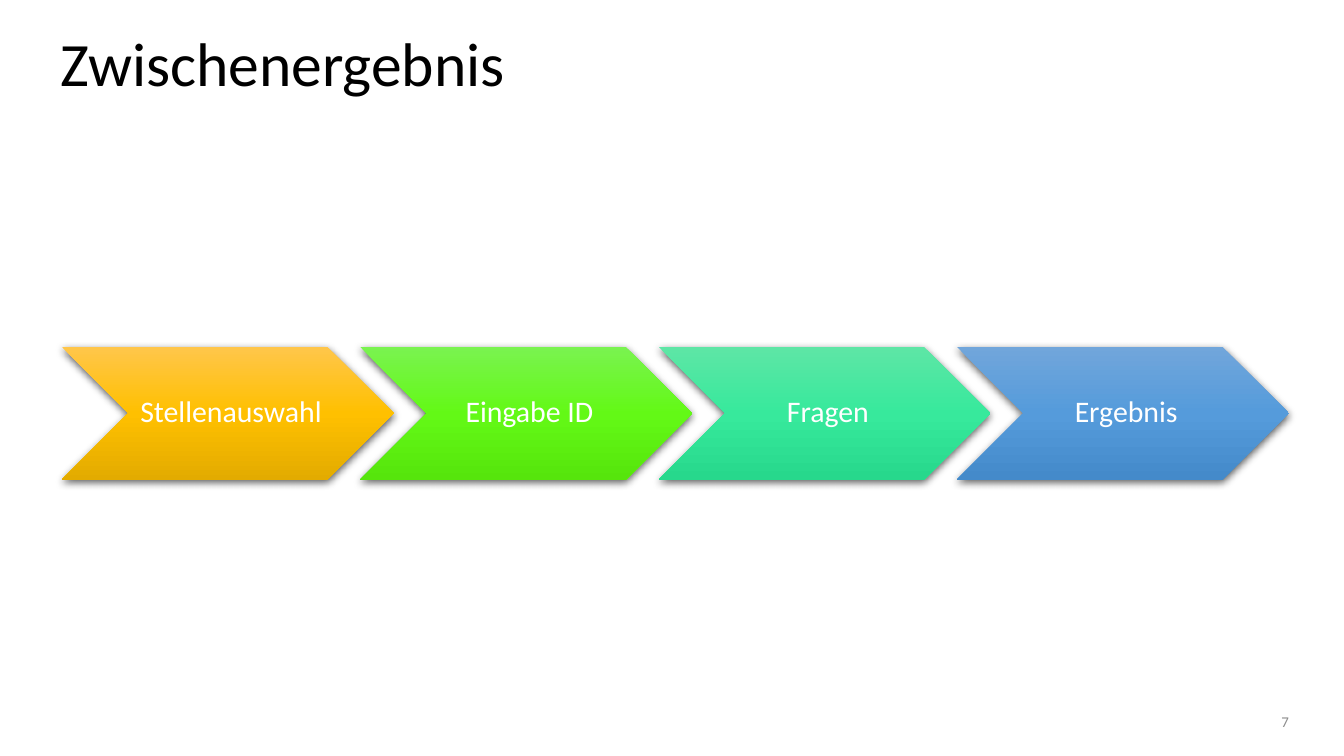
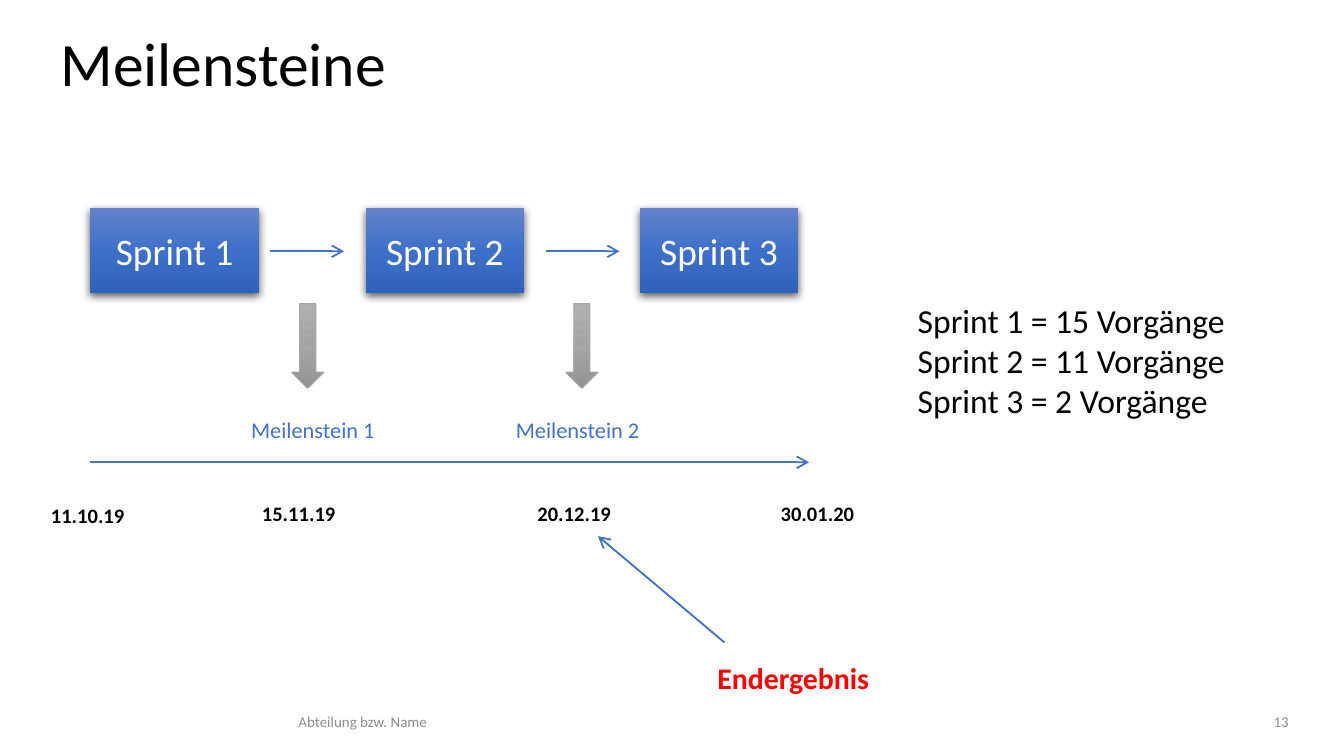
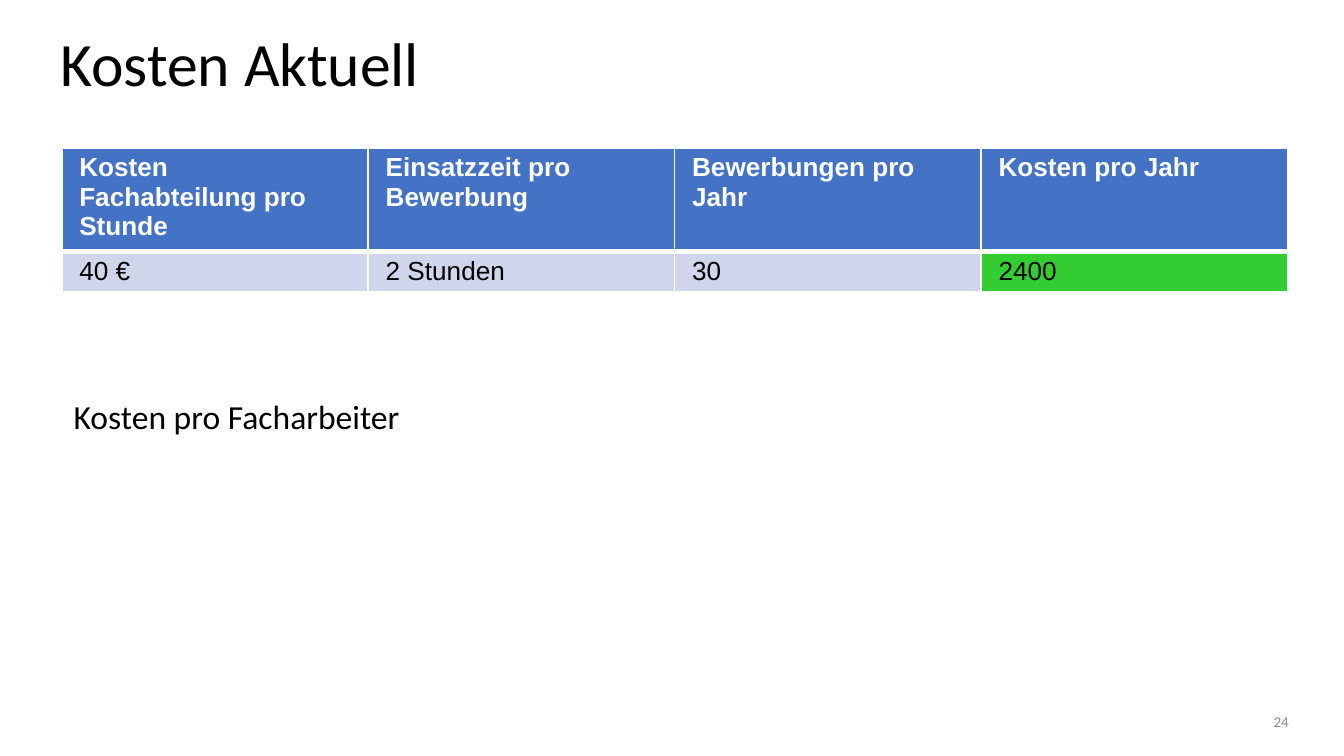
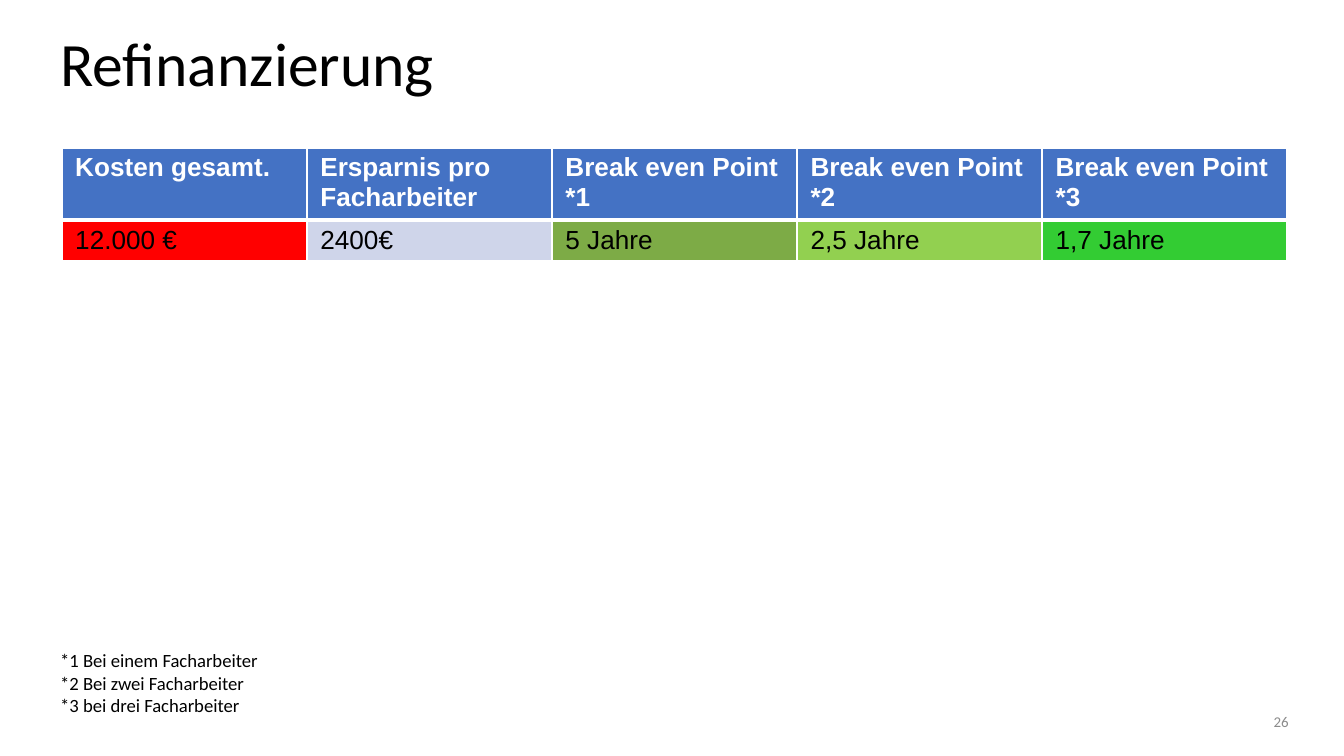
"""Build four project slides: process, milestones, current costs and refinancing."""
from lxml.etree import SubElement
from pptx import Presentation
from pptx.dml.color import RGBColor
from pptx.enum.shapes import MSO_CONNECTOR, MSO_SHAPE
from pptx.enum.text import MSO_ANCHOR, MSO_AUTO_SIZE, PP_ALIGN
from pptx.oxml.ns import qn
from pptx.util import Inches, Pt

BLACK, WHITE, GREY, RED = "000000", "FFFFFF", "8C8C8C", "FF0000"
BLUE, PALE, GREEN = "4472C4", "CFD5EA", "33CC33"
BLUE_FADE = ("6183CB", "3E70CA", "3062BB")
GREY_FADE = ("AFAFAF", "A5A5A5", "939393")

STEPS = [
    ("Stellenauswahl", ("FFC64B", "FFC000", "E3AB00")),
    ("Eingabe ID", ("7AF350", "63F916", "56E50C")),
    ("Fragen", ("5EE6A6", "37E99C", "27D88C")),
    ("Ergebnis", ("71A6DB", "559BDB", "448ACA")),
]
SPRINTS = [("Sprint 1", 0.67, 1.26), ("Sprint 2", 2.72, 1.18), ("Sprint 3", 4.76, 1.18)]
SPRINT_PITCH = 2.04
EFFORT = ["Sprint 1 = 15 Vorgänge", "Sprint 2 = 11 Vorgänge", "Sprint 3 = 2 Vorgänge"]
MILESTONES = [("Meilenstein 1", 1.77), ("Meilenstein 2", 3.74)]
DATES = [("11.10.19", 0.28, 3.69), ("15.11.19", 1.85, 3.68),
         ("20.12.19", 3.9, 3.68), ("30.01.20", 5.71, 3.68)]
ARROWS = [(2.01, 1.87, 2.56, 1.87), (4.06, 1.87, 4.61, 1.87),
          (0.67, 3.44, 6.02, 3.44), (5.39, 4.78, 4.45, 3.99)]
COSTS = [
    ("Kosten Fachabteilung pro Stunde", "40 €", PALE),
    ("Einsatzzeit pro Bewerbung", "2 Stunden", PALE),
    ("Bewerbungen pro Jahr", "30", PALE),
    ("Kosten pro Jahr", "2400", GREEN),
]
REFINANCING = [
    ("Kosten gesamt.", "12.000 €", RED),
    ("Ersparnis pro Facharbeiter", "2400€", PALE),
    ("Break even Point *1", "5 Jahre", "7DAB46"),
    ("Break even Point *2", "2,5 Jahre", "92D050"),
    ("Break even Point *3", "1,7 Jahre", GREEN),
]
FOOTNOTES = ["*1 Bei einem Facharbeiter", "*2 Bei zwei Facharbeiter\v*3 bei drei Facharbeiter"]


def rgb(color):
    """Turn a hex string into a colour."""
    return RGBColor.from_string(color)


def box(*lengths):
    """Turn numbers in inches into lengths."""
    return [Inches(v) for v in lengths]


def write(tf, lines, size, color=BLACK, bold=False, align=PP_ALIGN.LEFT, font="Calibri"):
    """Write one paragraph per line in one style."""
    tf.text = "\n".join(lines)
    for p in tf.paragraphs:
        p.alignment = align
        p.font.name, p.font.size, p.font.bold = font, Pt(size), bold
        p.font.color.rgb = rgb(color)


def insets(part, x, y):
    """Set the side and top margins of a frame or cell."""
    part.margin_left = part.margin_right = Inches(x)
    part.margin_top = part.margin_bottom = Inches(y)


def add_text(s, place, lines, size, wrap=True, **style):
    """Add a text box."""
    tf = s.shapes.add_textbox(*box(*place)).text_frame
    tf.word_wrap = wrap
    write(tf, lines, size, **style)
    return tf


def add_footer(s, place, text, align):
    """Add a small grey footer text."""
    tf = add_text(s, place, [text], 8, color=GREY, align=align)
    insets(tf, 0, 0.05)
    tf.vertical_anchor = MSO_ANCHOR.MIDDLE


def add_slide(prs, title, number):
    """Add a slide with its title and number."""
    s = prs.slides.add_slide(prs.slide_layouts[5])
    sp = s.shapes.title
    sp.left, sp.top, sp.width, sp.height = box(0.35, 0.18, 9.25, 0.63)
    tf = sp.text_frame
    write(tf, [title], 33)
    tf.auto_size = MSO_AUTO_SIZE.NONE
    tf.vertical_anchor = MSO_ANCHOR.MIDDLE
    tf.paragraphs[0].line_spacing = 0.9
    add_footer(s, (6.52, 5.27, 3.07, 0.2), number, PP_ALIGN.RIGHT)
    return s


def add_faded(s, kind, place, fade, line=None, shadow=True):
    """Add a shape with a three-step vertical gradient."""
    sp = s.shapes.add_shape(kind, *box(*place))
    sp.fill.gradient()
    sp.fill.gradient_angle = 270
    stops = sp._element.spPr.find(".//" + qn("a:gsLst"))
    stops.clear()
    for pos, color in zip((0, 50000, 100000), fade):
        stop = SubElement(stops, qn("a:gs"), pos=str(pos))
        SubElement(stop, qn("a:srgbClr"), val=color)
    if line:
        sp.line.color.rgb, sp.line.width = rgb(line), Pt(0.5)
    else:
        sp.line.fill.background()
    sp.shadow.inherit = False
    if shadow:
        effects = sp._element.spPr.find(qn("a:effectLst"))
        outer = SubElement(effects, qn("a:outerShdw"), blurRad=str(Pt(4.5)), dist=str(Pt(1.5)),
                           dir="5400000", algn="ctr", rotWithShape="0")
        color = SubElement(outer, qn("a:srgbClr"), val=BLACK)
        SubElement(color, qn("a:alpha"), val="63000")
    return sp


def add_label(sp, text, size):
    """Centre a white label in a shape."""
    write(sp.text_frame, [text], size, color=WHITE, align=PP_ALIGN.CENTER)
    sp.text_frame.vertical_anchor = MSO_ANCHOR.MIDDLE


def add_arrow(s, ends):
    """Add a blue line with an open arrowhead."""
    line = s.shapes.add_connector(MSO_CONNECTOR.STRAIGHT, *box(*ends))
    line.line.color.rgb, line.line.width = rgb(BLUE), Pt(1)
    SubElement(line.line._get_or_add_ln(), qn("a:tailEnd"), type="arrow")
    SubElement(line._element.spPr, qn("a:effectLst"))


def add_borders(cell, top, bottom):
    """Draw white borders round a cell."""
    tc_pr = cell._tc.get_or_add_tcPr()
    for side, width in (("L", 1), ("R", 1), ("T", top), ("B", bottom)):
        ln = SubElement(tc_pr, qn("a:ln" + side), w=str(Pt(width)))
        SubElement(SubElement(ln, qn("a:solidFill")), qn("a:srgbClr"), val=WHITE)


def add_cost_table(s, columns, head_height, inset):
    """Add a table of headings over single values."""
    heights = (head_height, 0.3)
    frame = s.shapes.add_table(2, len(columns), *box(0.46, 1.1, 9.12, sum(heights)))
    table = frame.table
    for row, height in zip(table.rows, heights):
        row.height = Inches(height)
    for c, (heading, value, fill) in enumerate(columns):
        rows = [(heading, BLUE, WHITE, True, 1, 3), (value, fill, BLACK, False, 3, 1)]
        for r, (text, back, color, bold, top, bottom) in enumerate(rows):
            cell = table.cell(r, c)
            write(cell.text_frame, [text], 14, color=color, bold=bold, font="Arial")
            insets(cell, inset, 0.03)
            cell.margin_top = Inches(0.04)
            add_borders(cell, top, bottom)
            cell.fill.solid()
            cell.fill.fore_color.rgb = rgb(back)


def process_slide(prs):
    """Show the process as a chevron chain."""
    s = add_slide(prs, "Zwischenergebnis", "7")
    for i, (text, fade) in enumerate(STEPS):
        sp = add_faded(s, MSO_SHAPE.CHEVRON, (0.46 + 2.22 * i, 2.58, 2.47, 0.99), fade)
        add_label(sp, text, 16)
        insets(sp.text_frame, 0.02, 0.02)
        sp.text_frame.margin_left = Inches(0.07)
        sp.text_frame.paragraphs[0].line_spacing = 0.9


def milestone_slide(prs):
    """Show sprints and milestones over a time line."""
    s = add_slide(prs, "Meilensteine", "13")
    add_footer(s, (0.45, 5.27, 4.5, 0.2), "Abteilung bzw. Name", PP_ALIGN.CENTER)
    add_text(s, (6.73, 2.18, 2.99, 1.01), EFFORT, 18)
    for text, left, width in SPRINTS:
        sp = add_faded(s, MSO_SHAPE.RECTANGLE, (left, 1.55, width, 0.63), BLUE_FADE)
        add_label(sp, text, 20)
    for i, (text, left) in enumerate(MILESTONES):
        add_faded(s, MSO_SHAPE.DOWN_ARROW, (2.17 + SPRINT_PITCH * i, 2.26, 0.24, 0.63),
                  GREY_FADE, line="A5A5A5", shadow=False)
        add_text(s, (left, 3.05, 1.26, 0.3), [text], 12, color=BLUE)
    for ends in ARROWS:
        add_arrow(s, ends)
    for text, left, top in DATES:
        add_text(s, (left, top, 0.79, 0.29), [text], 11, bold=True)
    add_text(s, (5.24, 4.86, 1.34, 0.37), ["Endergebnis"], 16, color=RED, bold=True)


def cost_slide(prs):
    """Show the current costs."""
    s = add_slide(prs, "Kosten Aktuell", "24")
    add_cost_table(s, COSTS, 0.75, 0.13)
    add_text(s, (0.45, 2.9, 2.66, 0.4), ["Kosten pro Facharbeiter"], 18, wrap=False)


def refinancing_slide(prs):
    """Show when the costs are recovered."""
    s = add_slide(prs, "Refinanzierung", "26")
    add_cost_table(s, REFINANCING, 0.52, 0.1)
    add_text(s, (0.35, 4.78, 1.7, 0.61), FOOTNOTES, 10, wrap=False)


def main():
    """Build and save the slides."""
    prs = Presentation()
    prs.slide_width = Inches(10)
    prs.slide_height = prs.slide_width * 9 // 16
    for build in (process_slide, milestone_slide, cost_slide, refinancing_slide):
        build(prs)
    prs.save("out.pptx")


if __name__ == "__main__":
    main()
